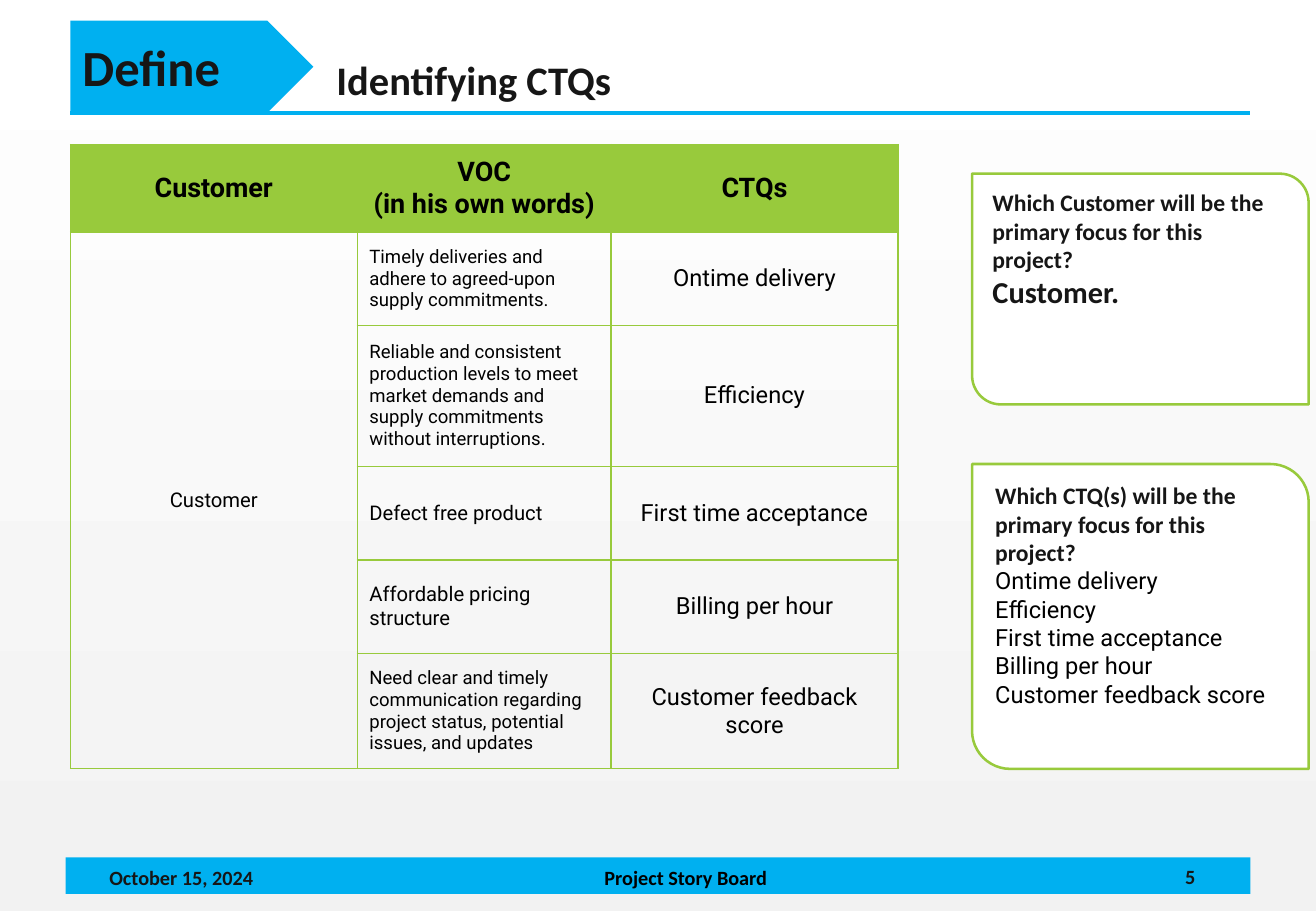
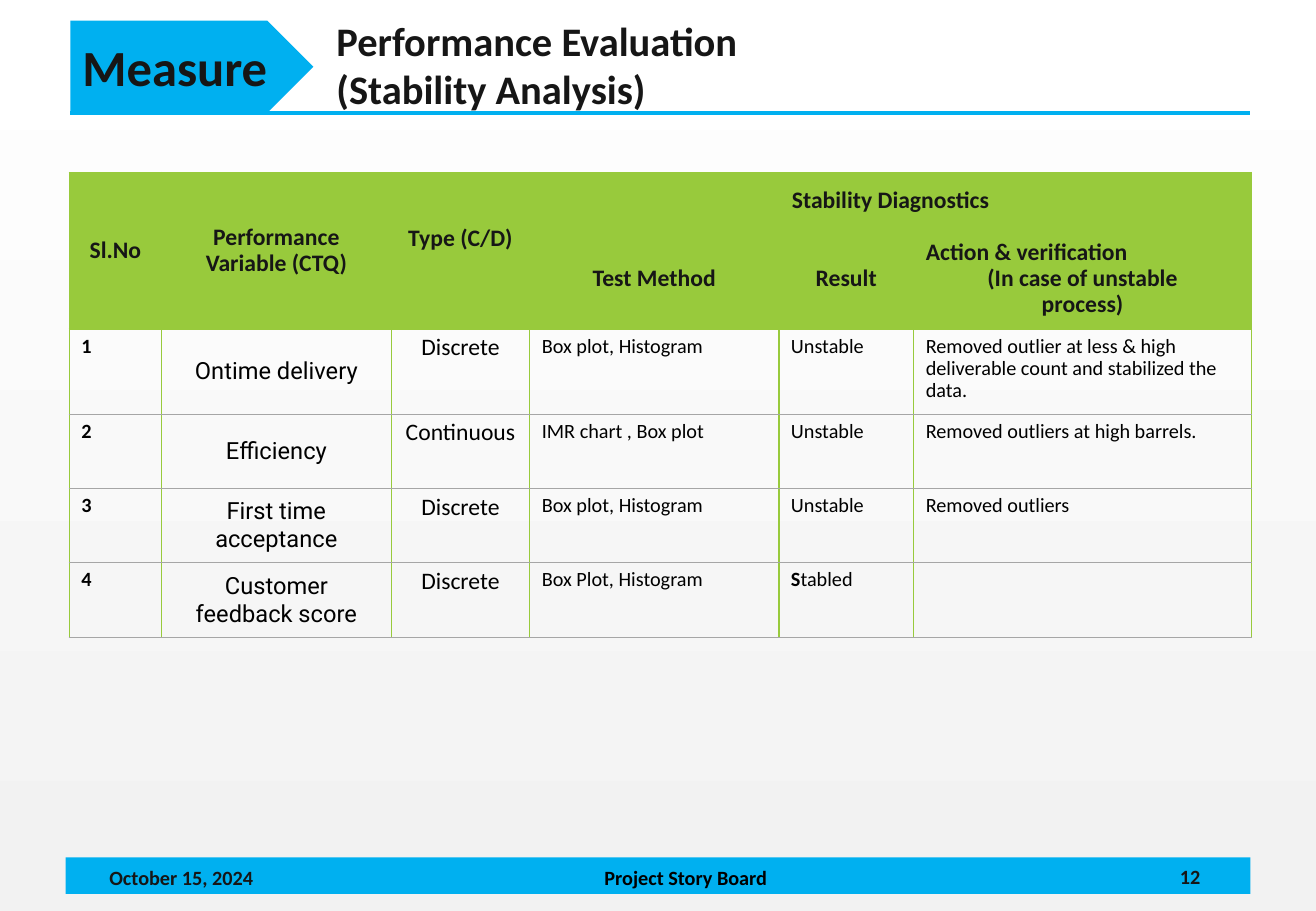
from lxml import etree
from pptx import Presentation
from pptx.dml.color import RGBColor
from pptx.enum.shapes import MSO_CONNECTOR as Connector, MSO_SHAPE as Shape
from pptx.enum.text import MSO_ANCHOR as Anchor, PP_ALIGN as Align
from pptx.oxml.ns import qn
from pptx.util import Inches, Pt

COLORS = {
    "blue": "00B0F0",
    "green": "98CA3C",
    "gray": "A6A6A6",
    "ink": "161616",
    "black": "000000",
    "white": "FFFFFF",
    "mist": "F2F2F2",
}
RGB = {name: RGBColor.from_string(value) for name, value in COLORS.items()}


def write(frame, text, size, bold=True, font="Calibri", color="ink", align=Align.LEFT, spacing=1.0):
    frame.text = text
    frame.word_wrap = True
    for para in frame.paragraphs:
        para.alignment = align
        para.line_spacing = spacing
        for span in para.runs:
            span.font.size = Pt(size)
            span.font.bold = bold
            span.font.name = font
            span.font.color.rgb = RGB[color]


def style_cell(cell, filled, anchor, across="green"):
    cell.vertical_anchor = anchor
    properties = cell._tc.get_or_add_tcPr()
    for side, color in (("lnL", "green"), ("lnR", "green"), ("lnT", across), ("lnB", across)):
        width = Pt(1) if color == "green" else Pt(0.75)
        line = etree.SubElement(properties, qn(f"a:{side}"), w=str(width))
        paint = etree.SubElement(line, qn("a:solidFill"))
        etree.SubElement(paint, qn("a:srgbClr"), val=COLORS[color])
    if filled:
        cell.fill.solid()
        cell.fill.fore_color.rgb = RGB["green"]
    else:
        cell.fill.background()


deck = Presentation()
deck.slide_width = Inches(10.83)
deck.slide_height = Inches(7.5)

backdrop = deck.slide_master.background.fill
backdrop.gradient()
backdrop.gradient_angle = 270
for stop, (color, position) in zip(backdrop.gradient_stops, (("white", 0), ("mist", 1))):
    stop.color.rgb = RGB[color]
    stop.position = position

headings = [
    ("Define", "Identifying CTQs", 0.35, "5"),
    ("Measure", "Performance Evaluation\n(Stability Analysis)", 0.23, "12"),
]
pages = []
for phase, title, title_top, number in headings:
    page = deck.slides.add_slide(deck.slide_layouts[6])
    pages.append(page)

    for kind, left, top, width, height, label in (
        (Shape.RECTANGLE, 0.54, 7.06, 9.75, 0.3, ""),
        (Shape.PENTAGON, 0.58, 0.17, 2, 0.76, phase),
    ):
        band = page.shapes.add_shape(kind, Inches(left), Inches(top), Inches(width), Inches(height))
        band.shadow.inherit = False
        band.fill.solid()
        band.fill.fore_color.rgb = RGB["blue"]
        band.line.fill.background()
        write(band.text_frame, label, 30)

    rule = page.shapes.add_connector(
        Connector.STRAIGHT, Inches(0.58), Inches(0.93), Inches(10.29), Inches(0.93)
    )
    rule.line.color.rgb = RGB["blue"]
    rule.line.width = Pt(2.25)
    etree.SubElement(rule._element.spPr, qn("a:effectLst"))

    for text, left, top, width, height, size, color, align in (
        (title, 2.67, title_top, 6.82, 0.6, 24, "ink", Align.LEFT),
        ("October 15, 2024", 0.75, 7.13, 1.5, 0.18, 12, "ink", Align.CENTER),
        ("Project Story Board", 3.73, 7.07, 3.83, 0.3, 12, "black", Align.CENTER),
        (number, 9.52, 7.06, 0.55, 0.31, 12, "ink", Align.CENTER),
    ):
        box = page.shapes.add_textbox(Inches(left), Inches(top), Inches(width), Inches(height))
        frame = box.text_frame
        frame.margin_top = frame.margin_bottom = 0
        frame.vertical_anchor = Anchor.MIDDLE
        write(frame, text, size, color=color, align=align)
        if text == "October 15, 2024":
            frame.paragraphs[0].alignment = Align.LEFT
            frame.margin_left = Inches(0.15)

define_page, measure_page = pages

tables = []
for page, left, top, widths, heights in (
    (define_page, 0.58, 1.19, [2.36, 2.09, 2.36], [0.72, 0.77, 1.16, 0.77, 0.77, 0.95]),
    (measure_page, 0.57, 1.42, [0.76, 1.89, 1.14, 2.05, 1.11, 2.78], [0.46, 0.83, 0.7, 0.61, 0.61, 0.62]),
):
    table = page.shapes.add_table(
        len(heights), len(widths), Inches(left), Inches(top), Inches(sum(widths)), Inches(sum(heights))
    ).table
    table.first_row = table.horz_banding = False
    for column, width in zip(table.columns, widths):
        column.width = Inches(width)
    for row, height in zip(table.rows, heights):
        row.height = Inches(height)
    tables.append(table)
voc_table, stability_table = tables

voc_rows = [
    ("Customer", "VOC\n(in his own words)", "CTQs"),
    ("Customer", "Timely deliveries and adhere to agreed-upon supply commitments.", "Ontime delivery"),
    (
        "",
        "Reliable and consistent production levels to meet market demands and "
        "supply commitments without interruptions.",
        "Efficiency",
    ),
    ("", "Defect free product", "First time acceptance"),
    ("", "Affordable pricing structure", "Billing per hour"),
    (
        "",
        "Need clear and timely communication regarding project status, potential issues, and updates",
        "Customer feedback score",
    ),
]
for r, texts in enumerate(voc_rows):
    header = r == 0
    for c, text in enumerate(texts):
        cell = voc_table.cell(r, c)
        voice_size = 11 if len(text) > 40 else 12
        size = 16 if header else (12, voice_size, 14)[c]
        align = Align.LEFT if c == 1 and not header else Align.CENTER
        write(cell.text_frame, text, size, header, "Roboto", "black", align)
        style_cell(cell, header, Anchor.MIDDLE)
voc_table.cell(1, 0).merge(voc_table.cell(5, 0))

stability_rows = [
    ("Sl.No", "Performance Variable (CTQ)", "Type (C/D)", "Stability Diagnostics", "", ""),
    ("", "", "", "Test Method", "Result", "Action & verification\n(In case of unstable\vprocess)"),
    (
        "1", "Ontime delivery", "Discrete", "Box plot, Histogram", "Unstable",
        "Removed outlier at less & high deliverable count and stabilized the data.",
    ),
    ("2", "Efficiency", "Continuous", "IMR chart , Box plot", "Unstable", "Removed outliers at high barrels."),
    ("3", "First time acceptance", "Discrete", "Box plot, Histogram", "Unstable", "Removed outliers"),
    ("4", "Customer feedback score", "Discrete", "Box Plot, Histogram", "Stabled", ""),
]
for r, texts in enumerate(stability_rows):
    header = r < 2
    for c, text in enumerate(texts):
        cell = stability_table.cell(r, c)
        if header:
            write(cell.text_frame, text, 14, align=Align.CENTER, spacing=0.9)
        elif c == 1:
            write(cell.text_frame, text, 14, False, "Roboto", "black", Align.CENTER)
        else:
            size, align = (14, Align.CENTER) if c == 2 else (12, Align.LEFT)
            write(cell.text_frame, text, size, c == 0, "Calibri", "black", align, 0.9)
        anchor = Anchor.MIDDLE if header or c == 1 else Anchor.TOP
        style_cell(cell, header, anchor, "green" if header else "gray")
for c in range(3):
    stability_table.cell(0, c).merge(stability_table.cell(1, c))
stability_table.cell(0, 3).merge(stability_table.cell(0, 5))
stability_table.cell(0, 2).margin_bottom = Inches(0.25)
stability_table.cell(1, 5).text_frame.paragraphs[0].alignment = Align.LEFT

result = stability_table.cell(5, 4).text_frame.paragraphs[0]
initial = result.runs[0]
initial.text = "S"
initial.font.bold = True
rest = result.add_run()
rest.text = "tabled"
rest.font.size = Pt(12)
rest.font.name = "Calibri"
rest.font.color.rgb = RGB["black"]

ctq_names = [texts[2] for texts in voc_rows[1:]]
focus_notes = [
    (1.43, 1.9, "Which Customer will be the primary focus for this project?", ["Customer."]),
    (3.82, 2.51, "Which CTQ(s) will be the primary focus for this project?", ctq_names),
]
for top, height, question, answers in focus_notes:
    note = define_page.shapes.add_shape(
        Shape.ROUND_2_DIAG_RECTANGLE, Inches(8), Inches(top), Inches(2.77), Inches(height)
    )
    note.adjustments[0] = 0
    note.adjustments[1] = 0.125
    note.shadow.inherit = False
    note.fill.solid()
    note.fill.fore_color.rgb = RGB["white"]
    note.line.color.rgb = RGB["green"]
    note.line.width = Pt(1.5)
    note.text_frame.vertical_anchor = Anchor.TOP
    write(note.text_frame, "\n".join([question, *answers]), 14)
    for para in note.text_frame.paragraphs[1:]:
        font = para.runs[0].font
        if len(answers) == 1:
            font.size = Pt(18)
        else:
            font.name = "Roboto"
            font.bold = False
            font.color.rgb = RGB["black"]

deck.save("out.pptx")
